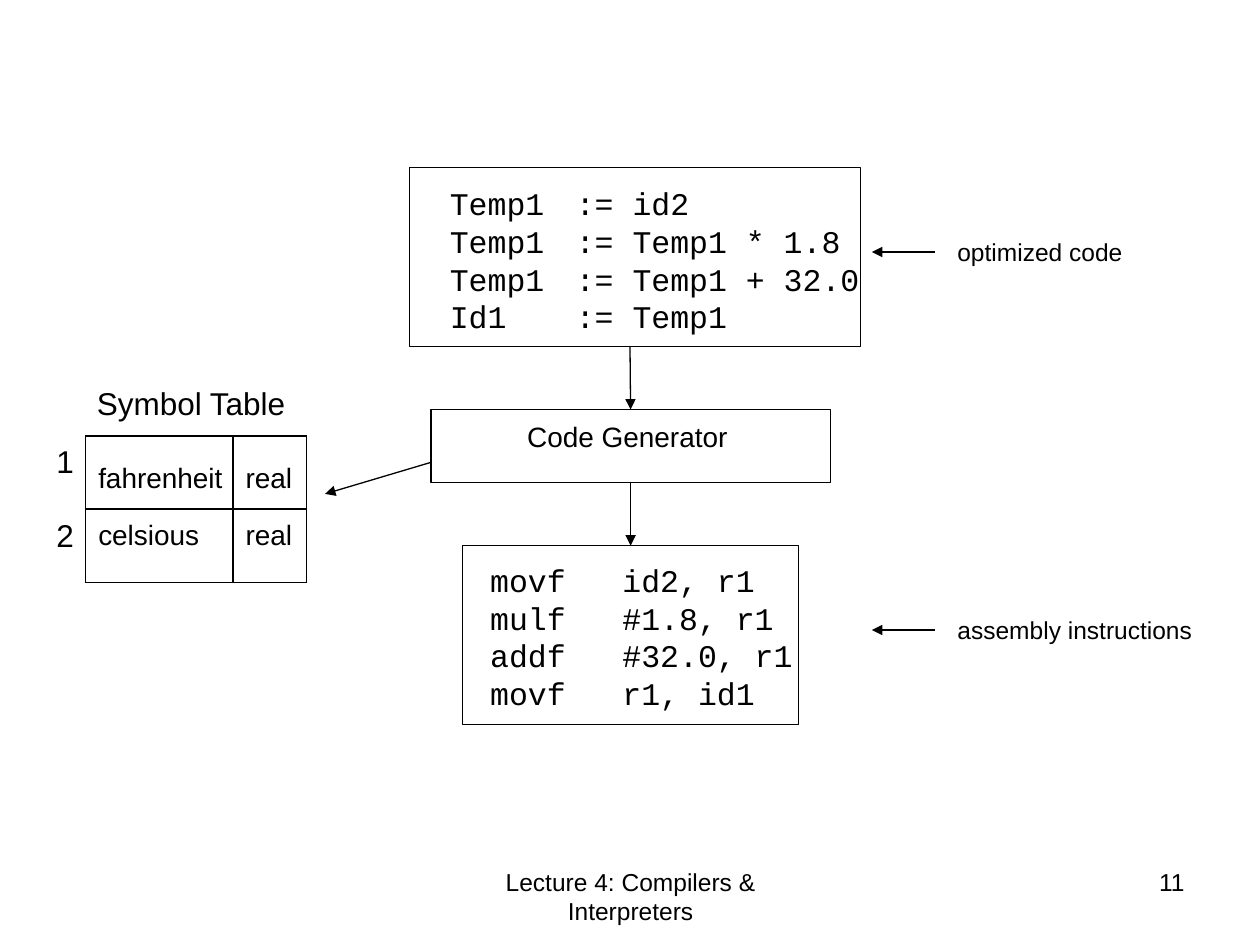
from dataclasses import dataclass

from lxml import etree
from pptx import Presentation
from pptx.dml.color import RGBColor
from pptx.enum.shapes import MSO_CONNECTOR, MSO_SHAPE
from pptx.enum.text import MSO_ANCHOR, PP_ALIGN
from pptx.oxml.ns import qn
from pptx.util import Inches, Pt

RECT = MSO_SHAPE.RECTANGLE
LINE = MSO_CONNECTOR.STRAIGHT
TOP = MSO_ANCHOR.TOP
LEFT, MID, RIGHT = PP_ALIGN.LEFT, PP_ALIGN.CENTER, PP_ALIGN.RIGHT


@dataclass
class Theme:
    ink: RGBColor = RGBColor(0, 0, 0)
    sans: str = "Arial"
    mono: str = "Courier New"
    small: int = 14
    body: int = 16
    large: int = 18
    rule: float = 0.75


THEME = Theme()


def write(frame, text, size=THEME.body, font=THEME.sans, align=LEFT,
          pad=(0.1, 0.05, 0.1, 0.05), wrap=True, gap=0, stop=None):
    """Fill a text frame, one paragraph a line; pad is left, top, right, bottom."""
    frame.word_wrap = wrap
    frame.vertical_anchor = TOP
    (frame.margin_left, frame.margin_top,
     frame.margin_right, frame.margin_bottom) = map(Inches, pad)
    for i, row in enumerate(text.split("\n")):
        para = frame.add_paragraph() if i else frame.paragraphs[0]
        para.alignment = align
        if i and gap:
            para.space_before = Pt(gap)
        if stop:
            tabs = etree.SubElement(para._p.get_or_add_pPr(), qn("a:tabLst"))
            etree.SubElement(tabs, qn("a:tab"), pos=str(Inches(stop)), algn="l")
        run = para.add_run()
        run.text = row
        run.font.name, run.font.size = font, Pt(size)
        run.font.color.rgb = THEME.ink


class Board:
    def __init__(self, slide, theme):
        self.slide, self.theme = slide, theme

    def label(self, text, x, y, w, h, wrap=False, **style):
        box = self.slide.shapes.add_textbox(*map(Inches, (x, y, w, h)))
        write(box.text_frame, text, wrap=wrap, **style)

    def box(self, text, x, y, w, h, **style):
        box = self.slide.shapes.add_shape(RECT, *map(Inches, (x, y, w, h)))
        box.shadow.inherit = False
        box.fill.background()
        box.line.color.rgb = self.theme.ink
        box.line.width = Pt(self.theme.rule)
        write(box.text_frame, text, **style)
        return box

    def arrow(self, x1, y1, x2, y2, start=None, end=None):
        line = self.slide.shapes.add_connector(
            LINE, *map(Inches, (x1, y1, x2, y2)))
        line.line.color.rgb = self.theme.ink
        line.line.width = Pt(self.theme.rule)
        etree.SubElement(line.line._get_or_add_ln(), qn("a:tailEnd"), type="triangle")
        etree.SubElement(line._element.spPr, qn("a:effectLst"))
        if start:
            line.begin_connect(start, 2)
        if end:
            line.end_connect(end, 0)

    def table(self, rows, x, y, widths, height, tops):
        size = (sum(widths), height * len(rows))
        grid = self.slide.shapes.add_table(
            len(rows), len(widths), *map(Inches, (x, y, *size))).table
        grid.first_row = grid.horz_banding = False
        for col, width in zip(grid.columns, widths):
            col.width = Inches(width)
        for r, row in enumerate(rows):
            grid.rows[r].height = Inches(height)
            for c, text in enumerate(row):
                cell = grid.cell(r, c)
                self.edge(cell)
                cell.fill.background()
                pad = (0.1, tops[r], 0.02, 0)
                write(cell.text_frame, text, size=self.theme.body)
                cell.vertical_anchor = TOP
                (cell.margin_left, cell.margin_top,
                 cell.margin_right, cell.margin_bottom) = map(Inches, pad)

    def edge(self, cell):
        props = cell._tc.get_or_add_tcPr()
        for side in "LRTB":
            line = etree.SubElement(
                props, qn("a:ln" + side), w=str(Pt(self.theme.rule)))
            fill = etree.SubElement(line, qn("a:solidFill"))
            etree.SubElement(fill, qn("a:srgbClr"), val=str(self.theme.ink))


def main():
    deck = Presentation()
    deck.slide_width, deck.slide_height = Inches(10), Inches(7.5)
    board = Board(deck.slides.add_slide(deck.slide_layouts[6]), THEME)
    small, large = THEME.small, THEME.large
    code = dict(size=large, font=THEME.mono)

    # Stages from optimized code to assembly
    source = board.box(
        "Temp1\t:= id2\nTemp1\t:= Temp1 * 1.8\n"
        "Temp1\t:= Temp1 + 32.0\nId1\t:= Temp1",
        3.25, 1.33, 3.58, 1.42, pad=(0.32, 0.13, 0, 0), stop=1, **code)
    maker = board.box("Code Generator", 3.42, 3.25, 3.17, 0.58,
                      align=MID, pad=(0.1, 0.08, 0.15, 0))
    target = board.box(
        "movf\tid2, r1\nmulf\t#1.8, r1\naddf\t#32.0, r1\nmovf\tr1, id1",
        3.67, 4.33, 2.67, 1.42, pad=(0.22, 0.12, 0, 0), stop=1.05, **code)

    # Flow between the stages, and to the symbol table
    board.arrow(5, 2.75, 5, 3.25, end=maker)
    board.arrow(5, 3.83, 5, 4.33, start=maker, end=target)
    board.arrow(3.42, 3.67, 2.58, 3.92)

    # Side notes
    for text, y, w in (("optimized code", 2, 1.56),
                       ("assembly instructions", 5, 2.11)):
        board.label(text, 7.5, y - 0.17, w, 0.33, size=small)
        board.arrow(7.42, y, 6.92, y)

    # Symbol table
    board.label("Symbol Table", 0.67, 3, 1.73, 0.4, size=large)
    board.label("1\n2", 0.35, 3.46, 0.34, 1, size=large, gap=20.7)
    board.table([("fahrenheit", "real"), ("celsious", "real")],
                0.68, 3.46, (1.17, 0.58), 0.58, tops=(0.22, 0.09))

    # Footer
    board.label("Lecture 4: Compilers & Interpreters", 3.42, 6.83, 3.17, 0.52,
                wrap=True, size=small, align=MID)
    board.label("11", 7.17, 6.83, 2.33, 0.52, wrap=True, size=small, align=RIGHT)

    deck.save("out.pptx")


if __name__ == "__main__":
    main()
